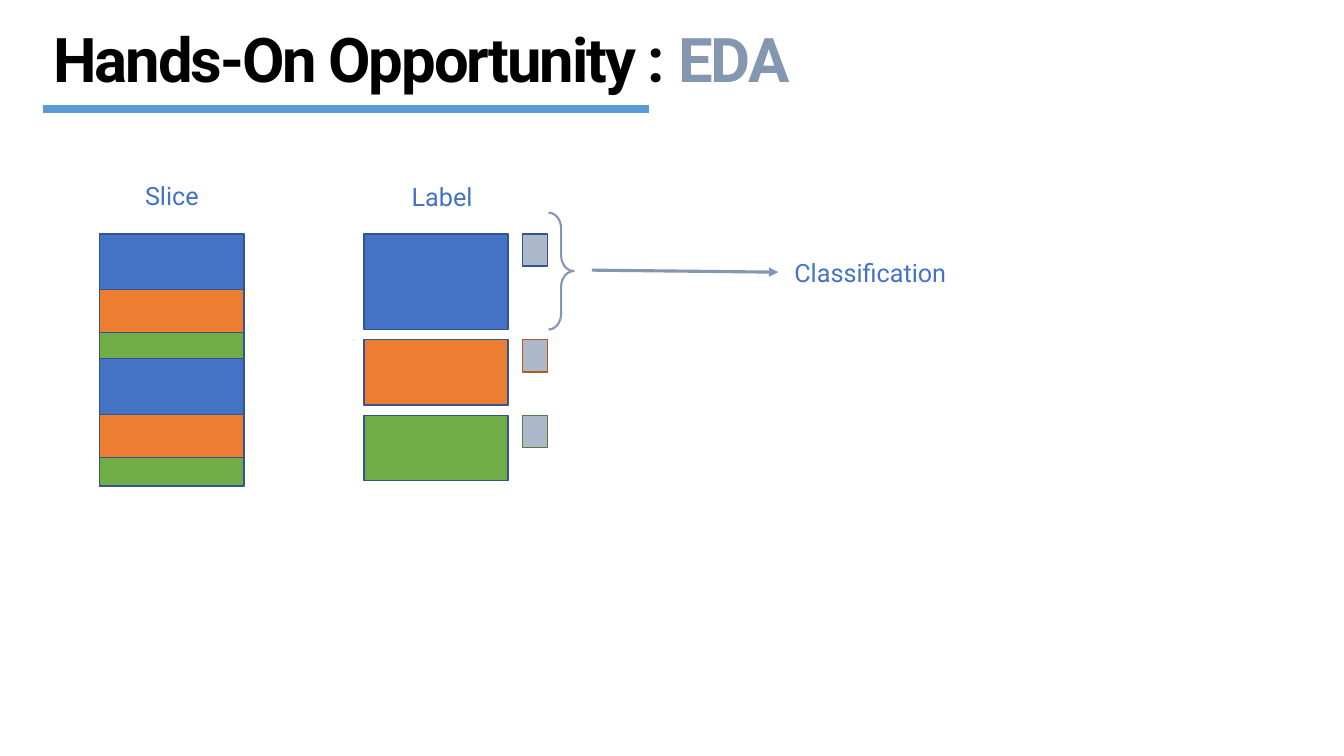
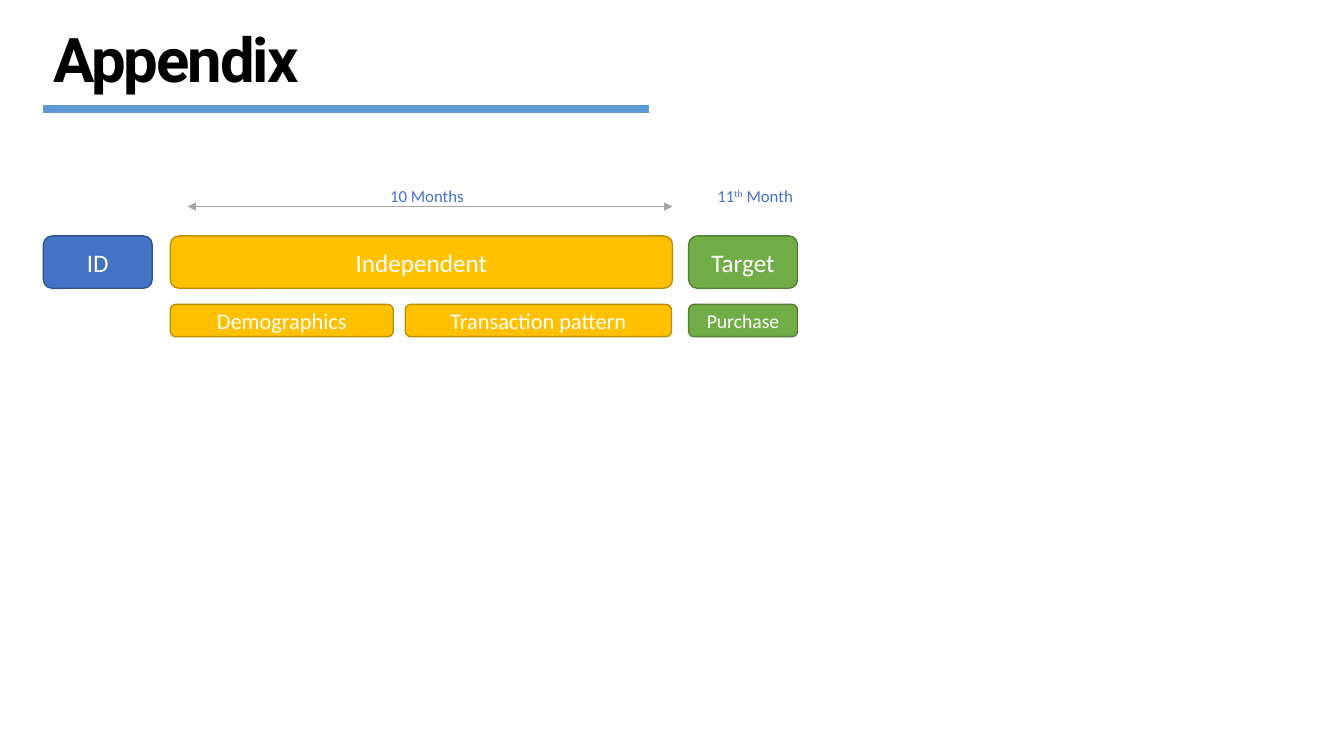
from lxml import etree
from pptx import Presentation
from pptx.dml.color import RGBColor
from pptx.enum.shapes import MSO_CONNECTOR, MSO_SHAPE
from pptx.enum.text import MSO_ANCHOR, MSO_AUTO_SIZE, PP_ALIGN
from pptx.oxml.ns import qn
from pptx.util import Inches, Pt

BLACK = RGBColor(0x00, 0x00, 0x00)
WHITE = RGBColor(0xFF, 0xFF, 0xFF)
BLUE = RGBColor(0x44, 0x72, 0xC4)
DARK_BLUE = RGBColor(0x32, 0x54, 0x91)
RULE_BLUE = RGBColor(0x5B, 0x9B, 0xD5)
ORANGE = RGBColor(0xED, 0x7D, 0x31)
DARK_ORANGE = RGBColor(0xAF, 0x5C, 0x24)
GREEN = RGBColor(0x70, 0xAD, 0x47)
DARK_GREEN = RGBColor(0x53, 0x80, 0x35)
GOLD = RGBColor(0xFF, 0xC0, 0x00)
DARK_GOLD = RGBColor(0xBD, 0x8E, 0x00)
SLATE = RGBColor(0x84, 0x97, 0xB0)
PALE_SLATE = RGBColor(0xAD, 0xB9, 0xCA)
GRAY = RGBColor(0xA5, 0xA5, 0xA5)

RECTANGLE = MSO_SHAPE.RECTANGLE
ROUNDED = MSO_SHAPE.ROUNDED_RECTANGLE
BRACE = MSO_SHAPE.RIGHT_BRACE
STRAIGHT = MSO_CONNECTOR.STRAIGHT
LEFT, CENTER = PP_ALIGN.LEFT, PP_ALIGN.CENTER
MIDDLE = MSO_ANCHOR.MIDDLE
GROW = MSO_AUTO_SIZE.SHAPE_TO_FIT_TEXT

HEADING_FONT, BODY_FONT = "Roboto", "Calibri"
MARGIN = 0.43


def style_span(span, font, size, color):
    span.font.name = font
    span.font.size = Pt(size)
    span.font.color.rgb = color


def add_text(page, at, spans, font, size, color, align=CENTER):
    box = page.shapes.add_textbox(*map(Inches, at))
    box.text_frame.word_wrap = True
    box.text_frame.auto_size = GROW
    para = box.text_frame.paragraphs[0]
    para.alignment = align
    for words in spans:
        span = para.add_run()
        span.text = words
        style_span(span, font, size, color)
    return para.runs


def add_block(page, kind, at, fill, outline, width=1):
    block = page.shapes.add_shape(kind, *map(Inches, at))
    block.shadow.inherit = False
    if fill is None:
        block.fill.background()
    else:
        block.fill.solid()
        block.fill.fore_color.rgb = fill
    block.line.color.rgb = outline
    block.line.width = Pt(width)
    return block


def add_field(page, at, words, size, fill, outline):
    field = add_block(page, ROUNDED, at, fill, outline)
    frame = field.text_frame
    frame.text = words
    frame.vertical_anchor = MIDDLE
    para = frame.paragraphs[0]
    para.alignment = CENTER
    style_span(para.runs[0], BODY_FONT, size, WHITE)


def add_line(page, start, end, color, width, arrowheads=()):
    line = page.shapes.add_connector(STRAIGHT, *map(Inches, start + end))
    line.line.color.rgb = color
    line.line.width = Pt(width)
    properties = line._element.spPr
    etree.SubElement(properties, qn("a:effectLst"))
    for arrowhead in arrowheads:
        etree.SubElement(properties.find(qn("a:ln")), qn(arrowhead), type="triangle")


def add_page(deck, title, accent=None):
    """Blank page with the shared title and the rule below it."""
    page = deck.slides.add_slide(deck.slide_layouts[6])
    words = [title, accent] if accent else [title]
    spans = add_text(page, (MARGIN, 0.16, 11.56, 0.84), words,
                     HEADING_FONT, 44, BLACK, LEFT)
    for span in spans:
        span.font.bold = True
        span._r.get_or_add_rPr().set("spc", "-150")
    if accent:
        spans[1].font.color.rgb = SLATE
    add_line(page, (MARGIN, 1.08), (6.44, 1.08), RULE_BLUE, 6)
    return page


def build_eda(deck):
    page = add_page(deck, "Hands-On Opportunity : ", "EDA")
    top, block_width = 2.32, 1.43

    # Slice: the same three bands, twice
    for group in range(2):
        for offset, height, fill in ((0, 0.56, BLUE), (0.55, 0.43, ORANGE),
                                     (0.98, 0.28, GREEN)):
            at = (0.99, top + group * 1.24 + offset, block_width, height)
            add_block(page, RECTANGLE, at, fill, DARK_BLUE)

    # Label: one block per class, each with its tag
    block_top = top
    for height, fill, tag_outline in ((0.95, BLUE, DARK_BLUE),
                                      (0.65, ORANGE, DARK_ORANGE),
                                      (0.65, GREEN, DARK_GREEN)):
        add_block(page, RECTANGLE, (3.61, block_top, block_width, height),
                  fill, DARK_BLUE)
        add_block(page, RECTANGLE, (5.18, block_top, 0.25, 0.32),
                  PALE_SLATE, tag_outline)
        block_top += height + 0.1

    # Brace and arrow to the task
    brace = add_block(page, BRACE, (5.44, 2.11, 0.25, 1.16), None, SLATE, 1.5)
    brace.adjustments[0] = 0.62
    add_line(page, (5.87, 2.68), (7.72, 2.7), SLATE, 2.25, ["a:tailEnd"])

    # Captions
    for words, left, caption_top, align in (("Slice", 0.78, 1.74, CENTER),
                                            ("Label", 3.46, 1.75, CENTER),
                                            ("Classification", 7.78, 2.5, LEFT)):
        add_text(page, (left, caption_top, 1.85, 0.4), [words],
                 HEADING_FONT, 18, BLUE, align)


def build_appendix(deck):
    page = add_page(deck, "Appendix")

    # Column groups, then their details
    for top, height, fields in (
        (2.34, 0.52, (("ID", MARGIN, 1.08, 18, BLUE, DARK_BLUE),
                      ("Independent", 1.69, 4.98, 18, GOLD, DARK_GOLD),
                      ("Target", 6.83, 1.08, 18, GREEN, DARK_GREEN))),
        (3.02, 0.32, (("Demographics", 1.69, 2.21, 16, GOLD, DARK_GOLD),
                      ("Transaction pattern", 4.02, 2.64, 16, GOLD, DARK_GOLD),
                      ("Purchase", 6.83, 1.08, 14, GREEN, DARK_GREEN))),
    ):
        for words, left, width, size, fill, outline in fields:
            add_field(page, (left, top, width, height), words, size, fill, outline)

    # Time span
    add_line(page, (1.86, 2.05), (6.67, 2.05), GRAY, 0.5,
             ["a:headEnd", "a:tailEnd"])
    add_text(page, (3.13, 1.79, 2.21, 0.3), ["10 Months"], BODY_FONT, 12, BLUE)
    spans = add_text(page, (6.67, 1.79, 1.64, 0.3), ["11", "th", " Month"],
                     BODY_FONT, 12, BLUE)
    spans[1]._r.get_or_add_rPr().set("baseline", "30000")


def main():
    deck = Presentation()
    deck.slide_width = Inches(13.33)
    deck.slide_height = Inches(7.5)
    build_eda(deck)
    build_appendix(deck)
    deck.save("out.pptx")


if __name__ == "__main__":
    main()
